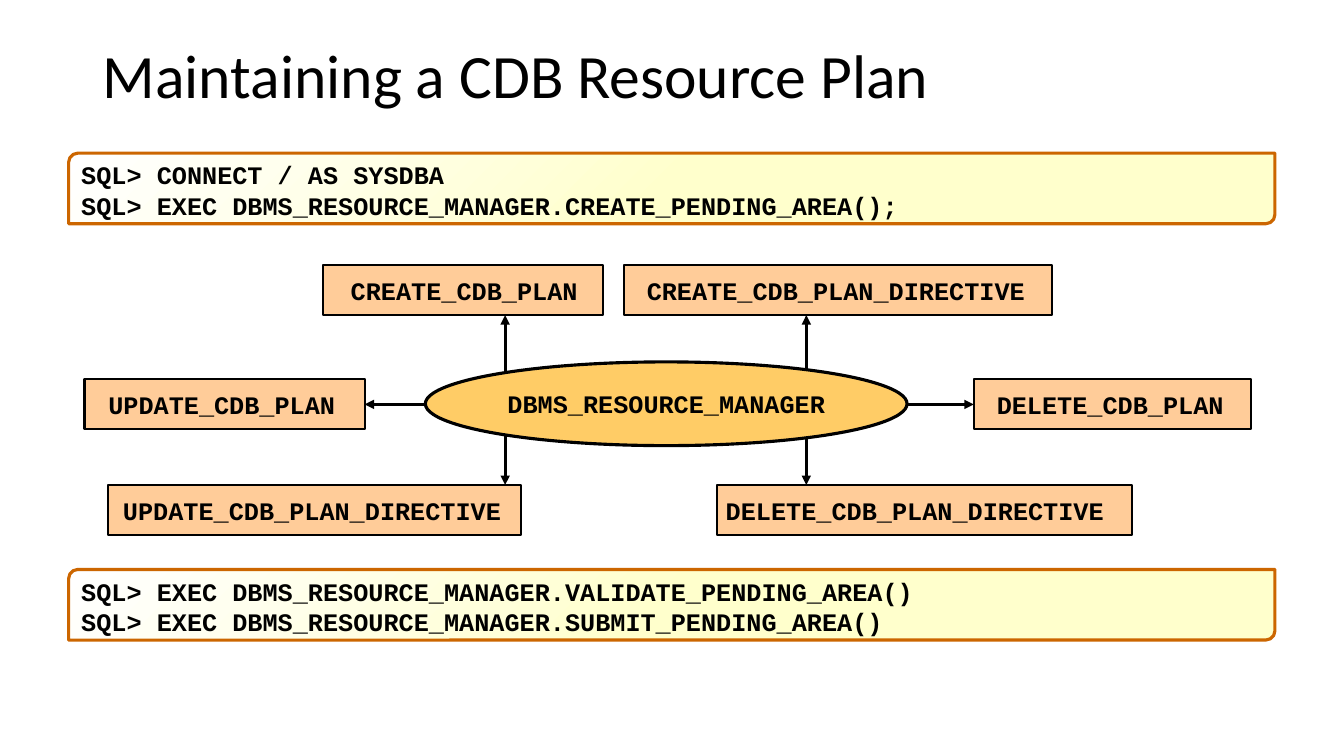
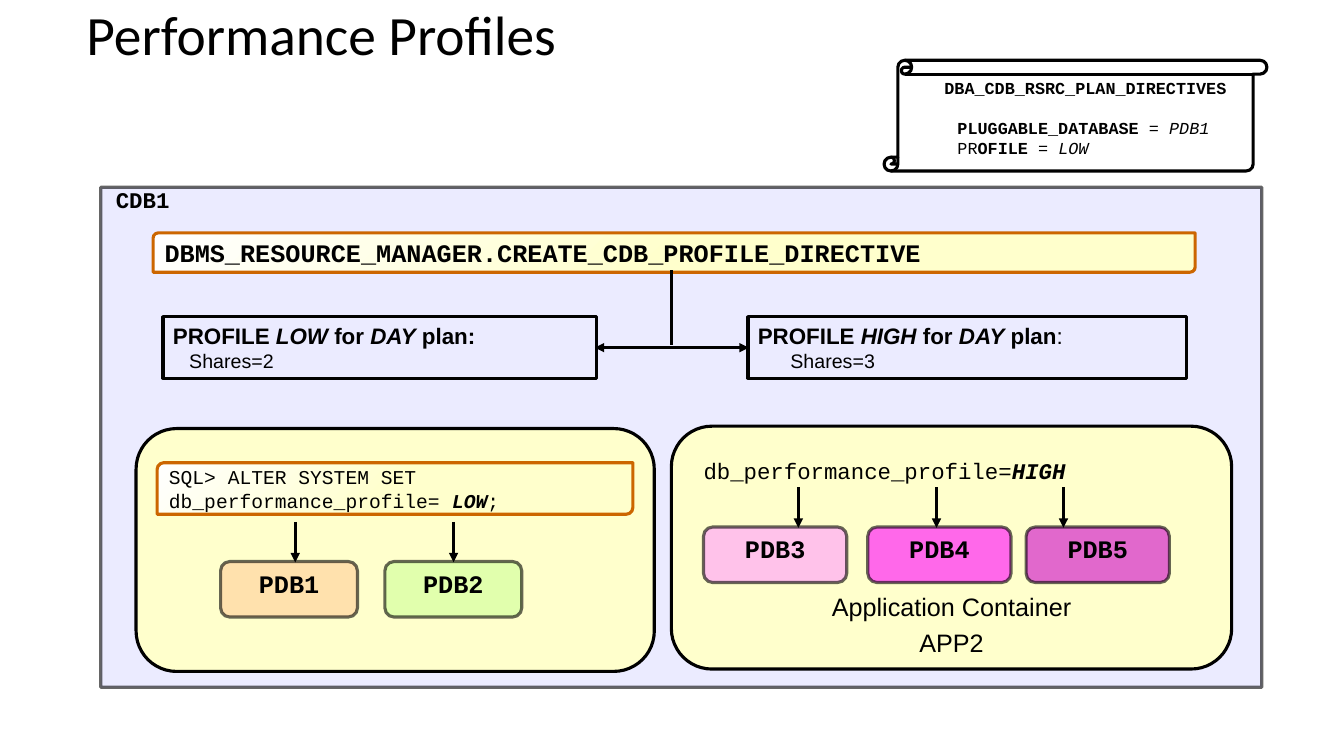
from copy import deepcopy

from lxml.etree import SubElement
from pptx import Presentation
from pptx.dml.color import RGBColor
from pptx.enum.shapes import MSO_CONNECTOR, MSO_SHAPE as Preset
from pptx.enum.text import MSO_ANCHOR as Anchor, PP_ALIGN as Align
from pptx.oxml.ns import qn
from pptx.util import Cm, Pt

COLORS = {
    "ink": "000000", "white": "FFFFFF", "frame": "CC6600", "cream": "FFFFCC",
    "peach": "FFCC99", "amber": "FFCC66", "lavender": "EBEBFF",
    "pdb1": "FFE1AD", "pdb2": "E1FFAD",
    "pdb3": "FFC2EA", "pdb4": "FF68EA", "pdb5": "E168CC",
}
CODE, BODY, HEAD = "Courier New", "Arial", "Calibri"


def rgb(name):
    return RGBColor.from_string(COLORS[name])


class SlideBuilder:
    """Holds the shared style and the current slide; all lengths are in cm."""

    def __init__(self):
        self.deck = Presentation()
        self.deck.slide_width, self.deck.slide_height = Cm(33.87), Cm(19.05)
        self.page = None

    def new_page(self):
        self.page = self.deck.slides.add_slide(self.deck.slide_layouts[6])

    def fill_text(self, shape, paras, size=18, font=CODE, bold=False, align=Align.LEFT,
                  anchor=Anchor.TOP, insets=(0.25, 0.13, 0.25, 0.13), wrap=True):
        """Each paragraph is a string or a list of (text, marks); marks use b and i."""
        frame = shape.text_frame
        frame.word_wrap = wrap
        frame.vertical_anchor = anchor
        (frame.margin_left, frame.margin_top,
         frame.margin_right, frame.margin_bottom) = map(Cm, insets)
        for number, content in enumerate(paras):
            para = frame.paragraphs[0] if number == 0 else frame.add_paragraph()
            para.alignment = align
            if isinstance(content, str):
                content = [(content, "b" if bold else "")]
            for text, marks in content:
                span = para.add_run()
                span.text = text
                span.font.name, span.font.size = font, Pt(size)
                span.font.bold, span.font.italic = "b" in marks, "i" in marks
                span.font.color.rgb = rgb("ink")
        return frame.paragraphs

    def text(self, place, paras, **style):
        box = self.page.shapes.add_textbox(*map(Cm, place))
        return self.fill_text(box, paras, **style)

    def title(self, place, text, size, anchor):
        para, = self.text(place, [text], size=size, font=HEAD, anchor=anchor)
        para.line_spacing = 0.9

    def shape(self, preset, place, fill=None, line="ink", width=2.25, opacity=None):
        shape = self.page.shapes.add_shape(preset, *map(Cm, place))
        shape.shadow.inherit = False
        if fill:
            shape.fill.solid()
            shape.fill.fore_color.rgb = rgb(fill)
        else:
            shape.fill.background()
        shape.line.color.rgb = rgb(line)
        shape.line.width = Pt(width)
        if opacity:
            color = shape.line._get_or_add_ln().find(".//" + qn("a:srgbClr"))
            SubElement(color, qn("a:alpha"), val=str(opacity * 1000))
        return shape

    def code_box(self, place, paras, **style):
        box = self.shape(Preset.ROUND_2_DIAG_RECTANGLE, place, line="frame")
        box.adjustments[0], box.adjustments[1] = 0.13, 0
        box.fill.gradient()
        box.fill.gradient_angle = 135
        for stop, color in zip(box.fill.gradient_stops, ("cream", "white")):
            stop.color.rgb = rgb(color)
        # Hold the first colour up to the middle
        first = box._element.spPr.find(".//" + qn("a:gs"))
        middle = deepcopy(first)
        middle.set("pos", "50000")
        first.addnext(middle)
        self.fill_text(box, paras, **style)

    def database(self, place, name, fill):
        box = self.shape(Preset.ROUNDED_RECTANGLE, place, fill, opacity=60)
        para, = self.fill_text(box, [name], bold=True, align=Align.CENTER,
                               anchor=Anchor.MIDDLE, insets=(0, 0.2, 0, 0.1))
        para.line_spacing = Pt(10)

    def line(self, start, end, ends=("tailEnd",)):
        link = self.page.shapes.add_connector(
            MSO_CONNECTOR.STRAIGHT, *map(Cm, start + end))
        link.line.color.rgb = rgb("ink")
        link.line.width = Pt(2.25)
        for name in ends:
            SubElement(link.line._get_or_add_ln(), qn("a:" + name), type="triangle")
        SubElement(link._element.spPr, qn("a:effectLst"))


def indent(para, left):
    para._p.get_or_add_pPr().set("marL", str(Cm(left)))


def resource_plan(build):
    build.new_page()
    build.title((2.34, 1.02, 29.21, 3.68), "Maintaining a CDB Resource Plan",
                44, Anchor.TOP)

    # Arrows from the package to its procedures
    for x in (12.73, 20.32):
        for start, end in ((9.5, 7.94), (10.9, 12.22)):
            build.line((x, start), (x, end))
    for start, end in ((10.72, 9.19), (22.86, 24.54)):
        build.line((start, 10.19), (end, 10.19))

    # Package
    package = build.shape(Preset.OVAL, (10.72, 9.12, 12.14, 2.11), "amber")
    build.fill_text(package, ["DBMS_RESOURCE_MANAGER"], bold=True, align=Align.CENTER,
                    anchor=Anchor.MIDDLE, insets=(0, 0, 0, 0))

    # Procedures: name, left, top, width, text inset
    for name, left, top, width, inset in (
        ("CREATE_CDB_PLAN", 8.13, 6.68, 7.06, 0.71),
        ("CREATE_CDB_PLAN_DIRECTIVE", 15.72, 6.68, 10.8, 0.58),
        ("UPDATE_CDB_PLAN", 2.13, 9.55, 7.06, 0.6),
        ("DELETE_CDB_PLAN", 24.54, 9.55, 6.99, 0.58),
        ("UPDATE_CDB_PLAN_DIRECTIVE", 2.72, 12.22, 10.41, 0.38),
        ("DELETE_CDB_PLAN_DIRECTIVE", 18.06, 12.22, 10.46, 0.23),
    ):
        box = build.shape(Preset.RECTANGLE, (left, top, width, 1.27), "peach", width=1.5)
        build.fill_text(box, [name], bold=True, anchor=Anchor.MIDDLE,
                        insets=(inset, 0.13, 0, 0.13))

    # Commands before and after
    for top, commands in (
        (3.86, ["SQL> CONNECT / AS SYSDBA",
                "SQL> EXEC DBMS_RESOURCE_MANAGER.CREATE_PENDING_AREA();"]),
        (14.35, ["SQL> EXEC DBMS_RESOURCE_MANAGER.VALIDATE_PENDING_AREA()",
                 "SQL> EXEC DBMS_RESOURCE_MANAGER.SUBMIT_PENDING_AREA()"]),
    ):
        build.code_box((1.73, top, 30.4, 1.78), commands, bold=True,
                       insets=(0.25, 0.1, 0.03, 0))


def performance_profiles(build):
    build.new_page()
    build.title((1.93, 0.18, 25.81, 1.52), "Performance Profiles", 39.6, Anchor.MIDDLE)

    # Container database
    cdb = build.shape(Preset.RECTANGLE, (2.54, 4.72, 29.26, 12.6), "lavender", opacity=60)
    label, = build.fill_text(cdb, ["CDB1"], size=16, bold=True, insets=(0.38, 0.3, 0, 0))
    label.line_spacing = Pt(10)

    # Profile directives
    code_style = {"anchor": Anchor.MIDDLE, "insets": (0.25, 0, 0.03, 0)}
    build.code_box((3.86, 5.87, 26.26, 0.99),
                   ["DBMS_RESOURCE_MANAGER.CREATE_CDB_PROFILE_DIRECTIVE"],
                   bold=True, **code_style)
    for left, width, level, colon, shares, margin in (
        (4.11, 10.92, "LOW", "b", "Shares=2", 0.41),
        (18.85, 11.05, "HIGH", "", "Shares=3", 0.82),
    ):
        box = build.shape(Preset.RECTANGLE, (left, 7.98, width, 1.55))
        heading = [("PROFILE ", "b"), (level, "bi"), (" for ", "b"), ("DAY", "bi"),
                   (" plan", "b"), (":", colon)]
        _, detail = build.fill_text(box, [heading, shares], size=16, font=BODY)
        detail.runs[0].font.size = Pt(14)
        indent(detail, margin)
    build.line((16.92, 6.81), (16.92, 8.69), ends=())
    build.line((14.99, 8.76), (18.87, 8.76), ends=("headEnd", "tailEnd"))

    # Root and application containers
    build.shape(Preset.ROUNDED_RECTANGLE, (3.43, 10.8, 13.06, 6.12), "cream")
    container = build.shape(Preset.ROUNDED_RECTANGLE, (16.92, 10.74, 14.12, 6.12), "cream")
    for para in build.fill_text(container, ["Application Container", "APP2"], font=BODY,
                                align=Align.CENTER, anchor=Anchor.BOTTOM,
                                insets=(0.25, 0, 0.25, 0)):
        para.space_before = Pt(4)

    # Profile settings
    build.code_box((3.96, 11.66, 11.99, 1.3),
                   ["SQL> ALTER SYSTEM SET",
                    [("db_performance_profile= ", ""), ("LOW", "bi"), (";", "")]],
                   size=14, **code_style)
    build.text((17.48, 11.4, 9.78, 0.94),
               [[("db_performance_profile=", ""), ("HIGH", "bi")]], size=16, wrap=False)

    # Pluggable databases: left, arrow position
    number = 1
    for top, width, columns in (
        (14.15, 3.45, ((5.56, 7.44), (9.7, 11.43))),
        (13.28, 3.61, ((17.73, 20.12), (21.87, 23.6), (25.86, 26.8))),
    ):
        for left, x in columns:
            build.database((left, top, width, 1.4), f"PDB{number}", f"pdb{number}")
            build.line((x, top - 1), (x, top + 0.02))
            number += 1

    # Directive view on a scroll
    build.shape(Preset.VERTICAL_SCROLL, (22.28, 1.52, 9.65, 2.79))
    view, *settings = build.text(
        (23.55, 1.88, 7.75, 2.21),
        [[("DBA_CDB_RSRC_PLAN_DIRECTIVES", "b")],
         [("PLUGGABLE_DATABASE", "b"), (" = ", ""), ("PDB1", "i")],
         [("PR", ""), ("OFILE", "b"), (" = ", ""), ("LOW", "i")]],
        size=12, wrap=False)
    view.line_spacing = 0.9
    view.space_after = Pt(14)
    for para in settings:
        indent(para, 0.33)


def main():
    build = SlideBuilder()
    resource_plan(build)
    performance_profiles(build)
    build.deck.save("out.pptx")


if __name__ == "__main__":
    main()
